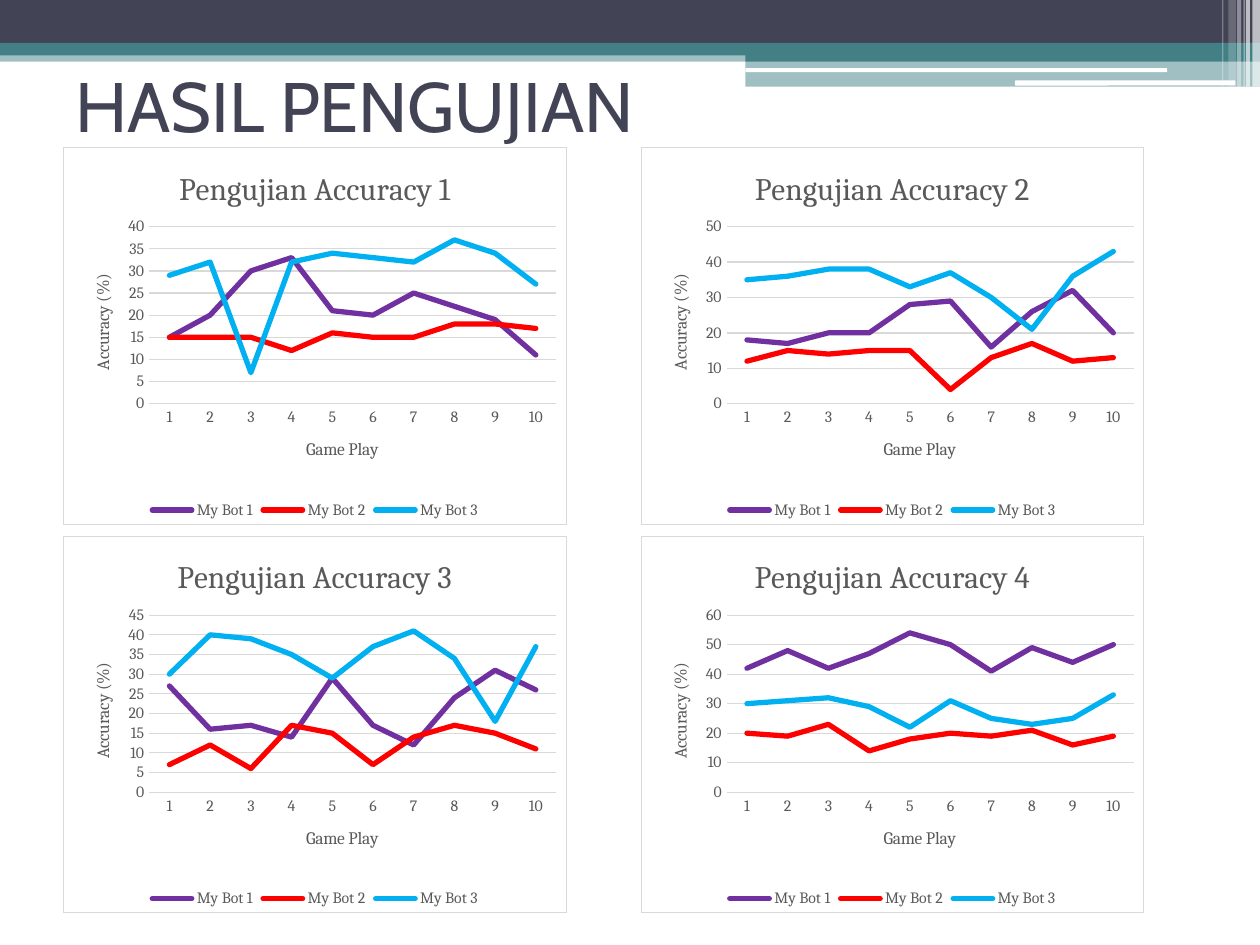
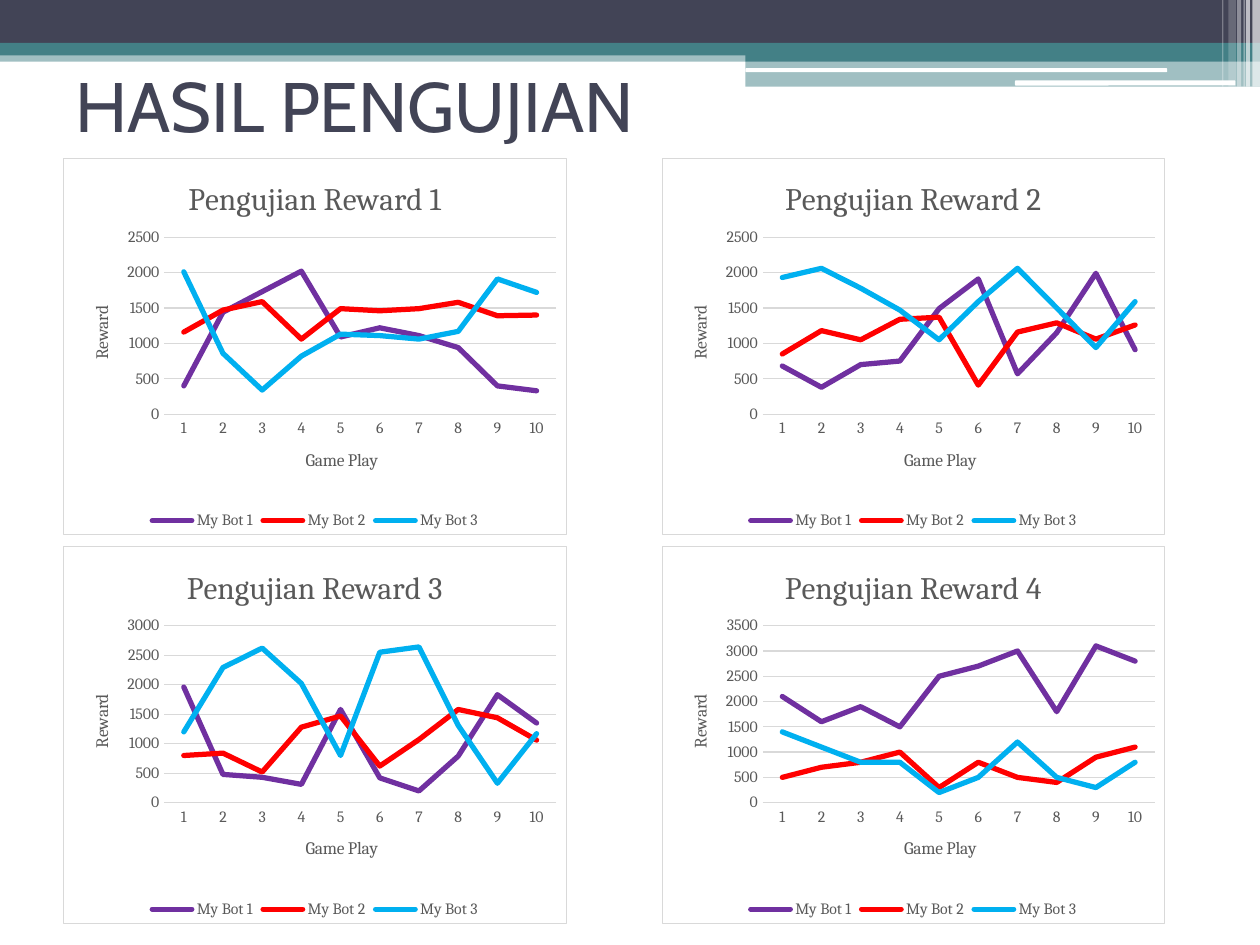
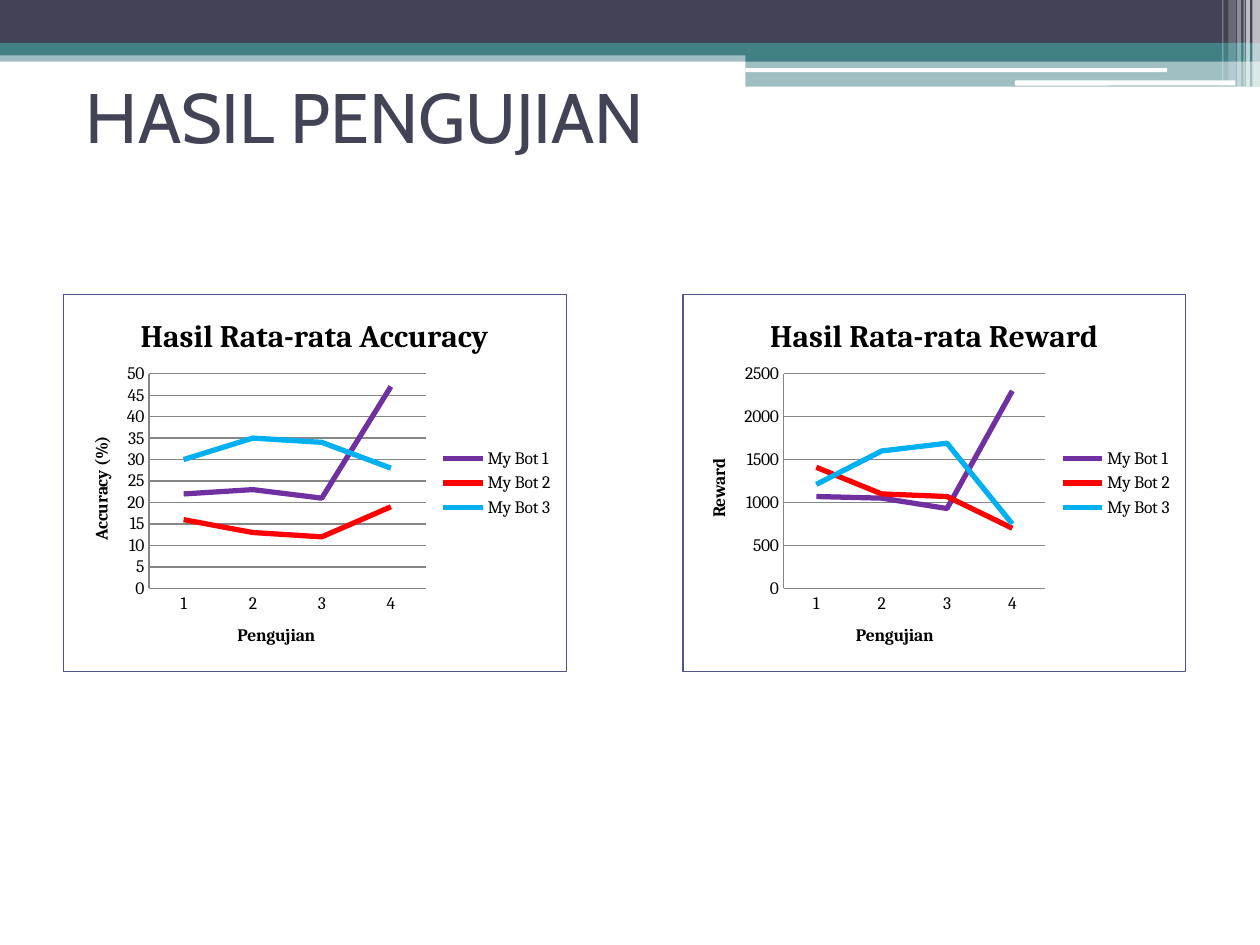
from dataclasses import dataclass
from typing import NamedTuple

from lxml.etree import SubElement
from pptx import Presentation
from pptx.chart.data import CategoryChartData
from pptx.dml.color import RGBColor
from pptx.enum.chart import XL_CHART_TYPE as ChartType, XL_LEGEND_POSITION as LegendSide, XL_TICK_MARK as Tick
from pptx.enum.shapes import MSO_SHAPE as Preset
from pptx.enum.text import MSO_ANCHOR as Anchor
from pptx.oxml import parse_xml
from pptx.oxml.ns import nsdecls, qn
from pptx.util import Pt


@dataclass(frozen=True)
class Theme:
    navy: str = "424456"
    teal: str = "438086"
    white: str = "FFFFFF"
    black: str = "000000"
    gray: str = "595959"
    pale: str = "D9D9D9"
    rule: str = "868686"
    frame: str = "53548A"
    bots: tuple[str, ...] = ("7030A0", "FF0000", "00B0F0")
    title_font: str = "Cabin"
    chart_font: str = "Cambria"
    title_size: float = 40
    chart_title_size: float = 18
    label_size: float = 10
    small_size: float = 9
    thin: float = 0.75
    thick: float = 3


THEME = Theme()
WIDTH, HEIGHT = 720, 540
MARGIN = 36
CHART_WIDTH, CHART_HEIGHT, ROW_PITCH = 288, 216, 222


class Band(NamedTuple):
    left: float
    top: float
    width: float
    height: float
    color: str
    opacity: int = 100
    preset: Preset = Preset.RECTANGLE


class Sheen(NamedTuple):
    left: float
    width: float
    opacity: int


class ChartStyle(NamedTuple):
    color: str
    bold: bool
    size: float
    grid: str
    border: str
    legend: LegendSide
    plot_right: float
    plot_height: float
    cap: str
    x_title: str


class BotChart(NamedTuple):
    title: str
    bots: list[list[int]]


class Page(NamedTuple):
    title_shift: float
    second_column: float
    top: float
    style: ChartStyle
    charts: list[BotChart]


NAVY_HEIGHT, STRIPE, FADE_HEIGHT = 24.5, 7.2, 14.4
WING_LEFT, WING_TOP = 426, 28
WING_WIDTH = WIDTH - WING_LEFT
WING_MIDDLE = WING_TOP + STRIPE
WING_BOTTOM = WING_MIDDLE + FADE_HEIGHT
HAIR, SLIM, WIDE = 0.7, 2.2, 4.3

SHEENS = [
    Sheen(WIDTH - WIDE, WIDE, 65),
    Sheen(712, SLIM, 65),
    Sheen(710.6, HAIR, 60),
    Sheen(707, SLIM, 40),
    Sheen(702, WIDE, 20),
    Sheen(698.4, HAIR, 30),
]

BANDS = [
    Band(0, WING_TOP, WIDTH, STRIPE, THEME.teal, 50),
    Band(0, 0, WIDTH, NAVY_HEIGHT, THEME.navy),
    Band(0, NAVY_HEIGHT, WIDTH, STRIPE, THEME.teal),
    Band(WING_LEFT, WING_TOP, WING_WIDTH, STRIPE, THEME.teal),
    Band(WING_LEFT, WING_MIDDLE, WING_WIDTH, FADE_HEIGHT, THEME.teal, 50),
    Band(WING_LEFT, 39, 241, SLIM, THEME.white, preset=Preset.ROUNDED_RECTANGLE),
    Band(580, 46, 126, SLIM + HAIR, THEME.white, preset=Preset.ROUNDED_RECTANGLE),
    *(Band(sheen.left, 0, sheen.width, WING_BOTTOM, THEME.white, sheen.opacity) for sheen in SHEENS),
]

PER_GAME = ChartStyle(THEME.gray, False, THEME.small_size, THEME.pale, THEME.pale,
                      LegendSide.BOTTOM, 0.98, 0.47, "rnd", "Game Play")
AVERAGE = ChartStyle(THEME.black, True, THEME.label_size, THEME.rule, THEME.frame,
                     LegendSide.RIGHT, 0.72, 0.57, "flat", "Pengujian")

ACCURACY = [
    [[15, 20, 30, 33, 21, 20, 25, 22, 19, 11],
     [15, 15, 15, 12, 16, 15, 15, 18, 18, 17],
     [29, 32, 7, 32, 34, 33, 32, 37, 34, 27]],
    [[18, 17, 20, 20, 28, 29, 16, 26, 32, 20],
     [12, 15, 14, 15, 15, 4, 13, 17, 12, 13],
     [35, 36, 38, 38, 33, 37, 30, 21, 36, 43]],
    [[27, 16, 17, 14, 29, 17, 12, 24, 31, 26],
     [7, 12, 6, 17, 15, 7, 14, 17, 15, 11],
     [30, 40, 39, 35, 29, 37, 41, 34, 18, 37]],
    [[42, 48, 42, 47, 54, 50, 41, 49, 44, 50],
     [20, 19, 23, 14, 18, 20, 19, 21, 16, 19],
     [30, 31, 32, 29, 22, 31, 25, 23, 25, 33]],
]
REWARD = [
    [[400, 1440, 1730, 2020, 1090, 1220, 1110, 940, 400, 330],
     [1160, 1470, 1590, 1060, 1490, 1460, 1490, 1580, 1390, 1400],
     [2010, 860, 340, 820, 1130, 1110, 1060, 1170, 1910, 1720]],
    [[680, 380, 700, 750, 1490, 1910, 570, 1150, 1990, 910],
     [850, 1180, 1050, 1340, 1370, 410, 1160, 1290, 1060, 1260],
     [1930, 2060, 1780, 1470, 1050, 1590, 2060, 1500, 940, 1590]],
    [[1960, 480, 430, 310, 1580, 420, 200, 790, 1830, 1350],
     [800, 840, 520, 1280, 1470, 620, 1070, 1580, 1440, 1060],
     [1200, 2290, 2620, 2020, 800, 2550, 2640, 1310, 330, 1170]],
    [[2100, 1600, 1900, 1500, 2500, 2700, 3000, 1800, 3100, 2800],
     [500, 700, 800, 1000, 300, 800, 500, 400, 900, 1100],
     [1400, 1100, 800, 800, 200, 500, 1200, 500, 300, 800]],
]
REWARD_AVERAGES = [[1070, 1050, 930, 2300], [1410, 1100, 1070, 700], [1210, 1600, 1690, 750]]


def number_charts(measure: str, tests: list[list[list[int]]]) -> list[BotChart]:
    return [BotChart(f"Pengujian {measure} {number}", bots) for number, bots in enumerate(tests, 1)]


def average_tests(tests: list[list[list[int]]]) -> list[list[int]]:
    return [[round(sum(games) / len(games)) for games in bot] for bot in zip(*tests)]


PAGES = [
    Page(0, 366, 84, PER_GAME, number_charts("Accuracy", ACCURACY)),
    Page(0, 378, 90, PER_GAME, number_charts("Reward", REWARD)),
    Page(6, 390, 168, AVERAGE, [
        BotChart("Hasil Rata-rata Accuracy", average_tests(ACCURACY)),
        BotChart("Hasil Rata-rata Reward", REWARD_AVERAGES),
    ]),
]


def rgb(color: str) -> RGBColor:
    return RGBColor.from_string(color)


def set_font(font, face: str, size: float, color: str, bold: bool = False) -> None:
    font.name = face
    font.size = Pt(size)
    font.bold = bold
    font.color.rgb = rgb(color)


def set_line(line, color: str, width: float = THEME.thin) -> None:
    line.color.rgb = rgb(color)
    line.width = Pt(width)


def draw_band(slide, band: Band) -> None:
    bar = slide.shapes.add_shape(band.preset, Pt(band.left), Pt(band.top), Pt(band.width), Pt(band.height))
    bar.shadow.inherit = False
    bar.line.fill.background()
    bar.fill.solid()
    bar.fill.fore_color.rgb = rgb(band.color)
    if band.opacity < 100:
        tint = bar._element.spPr.find(f"{qn('a:solidFill')}/{qn('a:srgbClr')}")
        SubElement(tint, qn("a:alpha"), val=f"{band.opacity}000")


def draw_title(slide, shift: float) -> None:
    frame = slide.shapes.add_textbox(Pt(MARGIN + shift), Pt(18 + shift), Pt(WIDTH - 2 * MARGIN), Pt(84)).text_frame
    frame.word_wrap = True
    frame.vertical_anchor = Anchor.MIDDLE
    frame.text = "HASIL PENGUJIAN"
    set_font(frame.paragraphs[0].runs[0].font, THEME.title_font, THEME.title_size, THEME.navy)


def set_heading(heading, text: str, size: float, style: ChartStyle) -> None:
    heading.text_frame.text = text
    set_font(heading.text_frame.paragraphs[0].runs[0].font, THEME.chart_font, size, style.color, style.bold)


def frame_chart(chart, border: str) -> None:
    space = chart._chartSpace
    if space.find(qn("c:roundedCorners")) is None:
        space.insert(1, parse_xml(f'<c:roundedCorners {nsdecls("c")} val="0"/>'))
    space.find(qn("c:chart")).addnext(parse_xml(
        f'<c:spPr {nsdecls("c", "a")}>'
        f'<a:solidFill><a:srgbClr val="{THEME.white}"/></a:solidFill>'
        f'<a:ln w="{Pt(THEME.thin)}"><a:solidFill><a:srgbClr val="{border}"/></a:solidFill></a:ln></c:spPr>'))


def place_plot(chart, left: float, style: ChartStyle) -> None:
    area = chart._chartSpace.find(f".//{qn('c:plotArea')}")
    for automatic in area.findall(qn("c:layout")):
        area.remove(automatic)
    layout = parse_xml(f'<c:layout {nsdecls("c")}><c:manualLayout/></c:layout>')
    settings = {"layoutTarget": "inner", "xMode": "edge", "yMode": "edge", "x": left, "y": 0.21,
                "w": round(style.plot_right - left, 2), "h": style.plot_height}
    for tag, setting in settings.items():
        SubElement(layout[0], qn(f"c:{tag}"), val=str(setting))
    area.insert(0, layout)


def draw_chart(slide, spec: BotChart, left: float, top: float, style: ChartStyle) -> None:
    is_accuracy = "Accuracy" in spec.title
    data = CategoryChartData()
    data.categories = [str(number) for number, _ in enumerate(spec.bots[0], 1)]
    for number, scores in enumerate(spec.bots, 1):
        data.add_series(f"My Bot {number}", scores)
    chart = slide.shapes.add_chart(ChartType.LINE, Pt(left), Pt(top), Pt(CHART_WIDTH), Pt(CHART_HEIGHT), data).chart
    set_font(chart.font, THEME.chart_font, THEME.label_size, THEME.black)
    chart.has_title = True
    set_heading(chart.chart_title, spec.title, THEME.chart_title_size, style)

    chart.has_legend = True
    chart.legend.position = style.legend
    chart.legend.include_in_layout = False
    set_font(chart.legend.font, THEME.chart_font, style.size, style.color)

    games, scale = chart.category_axis, chart.value_axis
    for axis, caption in ((games, style.x_title), (scale, "Accuracy (%)" if is_accuracy else "Reward")):
        set_heading(axis.axis_title, caption, THEME.label_size, style)
        axis.major_tick_mark = axis.minor_tick_mark = Tick.NONE
        set_font(axis.tick_labels.font, THEME.chart_font, style.size, style.color)
        set_line(axis.format.line, style.grid)
    if style is PER_GAME:
        scale.format.line.fill.background()
    scale.minimum_scale = 0
    set_line(scale.major_gridlines.format.line, style.grid)

    chart.plots[0].vary_by_categories = False
    for bot, color in zip(chart.plots[0].series, THEME.bots):
        bot.smooth = False
        set_line(bot.format.line, color, THEME.thick)
        bot._element.find(f"{qn('c:spPr')}/{qn('a:ln')}").set("cap", style.cap)
    place_plot(chart, 0.17 if is_accuracy else 0.2, style)
    frame_chart(chart, style.border)


def main() -> None:
    deck = Presentation()
    deck.slide_width, deck.slide_height = Pt(WIDTH), Pt(HEIGHT)
    for page in PAGES:
        slide = deck.slides.add_slide(deck.slide_layouts[6])
        for band in BANDS:
            draw_band(slide, band)
        draw_title(slide, page.title_shift)
        for index, spec in enumerate(page.charts):
            row, column = divmod(index, 2)
            left = page.second_column if column else MARGIN
            draw_chart(slide, spec, left, page.top + row * ROW_PITCH, page.style)
    deck.save("out.pptx")


if __name__ == "__main__":
    main()
